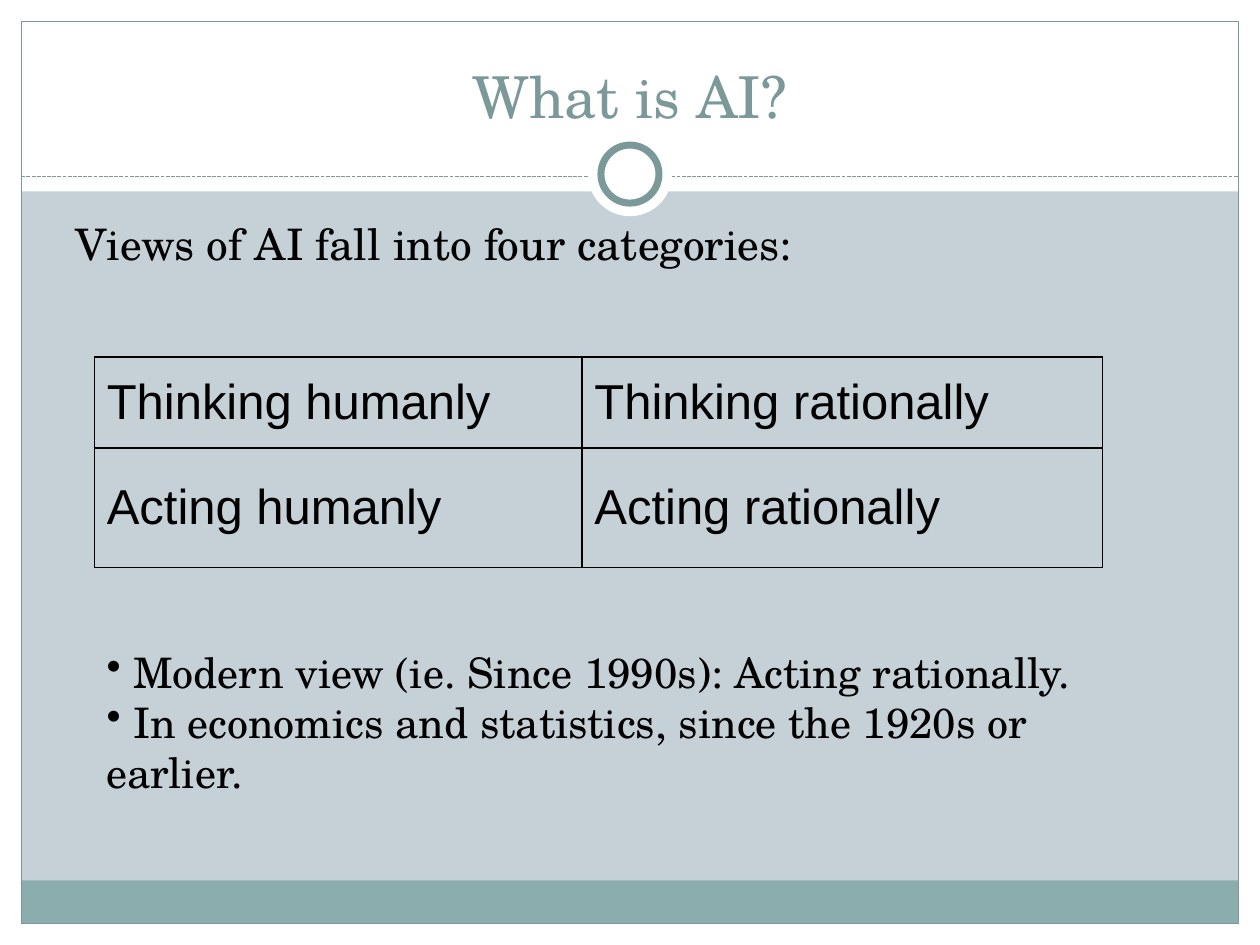
from lxml import etree
from pptx import Presentation
from pptx import util as u
from pptx.dml.color import RGBColor
from pptx.enum import dml, shapes, text
from pptx.oxml.ns import qn

HUES = {"back": "C5D1D7", "white": "FFFFFF", "band": "8CADAE",
        "rule": "7C999A", "ink": "000000"}
SERIF, SANS = "TeX Gyre Schola", "Arial"
WIDE, HIGH, EDGE = 25.4, 19.05, 0.43


def hue(name):
    return RGBColor.from_string(HUES[name])


def write(frame, *lines, size=24, font=SERIF, color="ink", align=None,
          anchor=text.MSO_ANCHOR.TOP, before=0, lead=None, bullet=None):
    """Fill a text frame with one paragraph per line."""
    frame.word_wrap = True
    frame.vertical_anchor = anchor
    for i, line in enumerate(lines):
        para = frame.add_paragraph() if i else frame.paragraphs[0]
        para.alignment = align
        para.space_before = u.Pt(before)
        para.line_spacing = lead
        if bullet:
            mark = etree.SubElement(para._p.get_or_add_pPr(), qn("a:buChar"))
            mark.set("char", bullet)
        run = para.add_run()
        run.text = line
        run.font.size = u.Pt(size)
        run.font.name = font
        run.font.color.rgb = hue(color)


class Deck:
    def __init__(self):
        self.prs = Presentation()
        self.prs.slide_width, self.prs.slide_height = u.Cm(WIDE), u.Cm(HIGH)
        self.slide = self.prs.slides.add_slide(self.prs.slide_layouts[5])
        self.items = self.slide.shapes
        fill = self.slide.background.fill
        fill.solid()
        fill.fore_color.rgb = hue("back")

    def shape(self, box, fill=None, line=None, width=0.75, kind="RECTANGLE"):
        item = self.items.add_shape(getattr(shapes.MSO_SHAPE, kind),
                                    *map(u.Cm, box))
        item.shadow.inherit = False
        if fill:
            item.fill.solid()
            item.fill.fore_color.rgb = hue(fill)
        else:
            item.fill.background()
        if line:
            item.line.color.rgb = hue(line)
            item.line.width = u.Pt(width)
        else:
            item.line.fill.background()

    def disc(self, x, y, size, **style):
        self.shape((x - size / 2, y - size / 2, size, size), kind="OVAL", **style)

    def dash(self, x1, x2, y):
        line = self.items.add_connector(shapes.MSO_CONNECTOR.STRAIGHT,
                                        u.Cm(x1), u.Cm(y), u.Cm(x2), u.Cm(y))
        line.line.color.rgb = hue("rule")
        line.line.width = u.Pt(0.75)
        line.line.dash_style = dml.MSO_LINE.SQUARE_DOT
        etree.SubElement(line._element.spPr, qn("a:effectLst"))

    def title(self, box, line):
        item = self.items.title
        item.left, item.top, item.width, item.height = map(u.Cm, box)
        write(item.text_frame, line, size=33, color="rule",
              align=text.PP_ALIGN.CENTER, anchor=text.MSO_ANCHOR.BOTTOM)
        # Bring the title in front of the white frame
        self.items._spTree.append(item._element)

    def note(self, box, *lines, **style):
        write(self.items.add_textbox(*map(u.Cm, box)).text_frame, *lines, **style)

    def table(self, x, y, cols, rows, cells):
        grid = self.items.add_table(len(rows), len(cols), u.Cm(x), u.Cm(y),
                                    u.Cm(sum(cols)), u.Cm(sum(rows))).table
        grid.first_row = grid.horz_banding = False
        for col, size in zip(grid.columns, cols):
            col.width = u.Cm(size)
        for row, size, words in zip(grid.rows, rows, cells):
            row.height = u.Cm(size)
            for cell, word in zip(row.cells, words):
                write(cell.text_frame, word, size=28, font=SANS, before=5.6)
                cell.vertical_anchor = text.MSO_ANCHOR.MIDDLE
                self.border(cell)
                cell.fill.background()

    def border(self, cell):
        props = cell._tc.get_or_add_tcPr()
        for side in ("lnL", "lnR", "lnT", "lnB"):
            line = etree.SubElement(props, qn("a:" + side), w=str(u.Pt(1)))
            fill = etree.SubElement(line, qn("a:solidFill"))
            etree.SubElement(fill, qn("a:srgbClr"), val=HUES["ink"])


def main():
    deck = Deck()

    # White frame, footer band and outline
    for box in ((0, HIGH - EDGE, WIDE, EDGE), (0, 0, WIDE, 3.86),
                (0, 0, EDGE, HIGH), (WIDE - EDGE, 0, EDGE, HIGH)):
        deck.shape(box, fill="white")
    inner = WIDE - 2 * EDGE
    deck.shape((EDGE, 17.75, inner, 0.87), fill="band")
    deck.shape((EDGE, EDGE, inner, HIGH - 2 * EDGE), line="rule")

    # Dashed rule with the ring at its middle
    deck.dash(EDGE, WIDE - EDGE, 3.56)
    deck.disc(WIDE / 2, 3.51, 1.7, fill="white")
    deck.disc(WIDE / 2, 3.51, 1.17, fill="white", line="rule", width=4)

    # Title and lead sentence
    deck.title((0.85, 0.64, 23.7, 2.1), "What is AI?")
    deck.note((1.27, 4.45, 22.86, 1.5), "Views of AI fall into four categories:",
              size=24.8, before=5, lead=0.8)

    # Four categories
    deck.table(1.9, 7.2, (9.83, 10.49), (1.83, 2.41),
               (("Thinking humanly", "Thinking rationally"),
                ("Acting humanly", "Acting rationally")))

    # Remarks
    deck.note((1.9, 12.9, 20.75, 3.33),
              " Modern view (ie. Since 1990s): Acting rationally.",
              " In economics and statistics, since the 1920s or earlier.",
              bullet="•")

    deck.prs.save("out.pptx")


if __name__ == "__main__":
    main()
